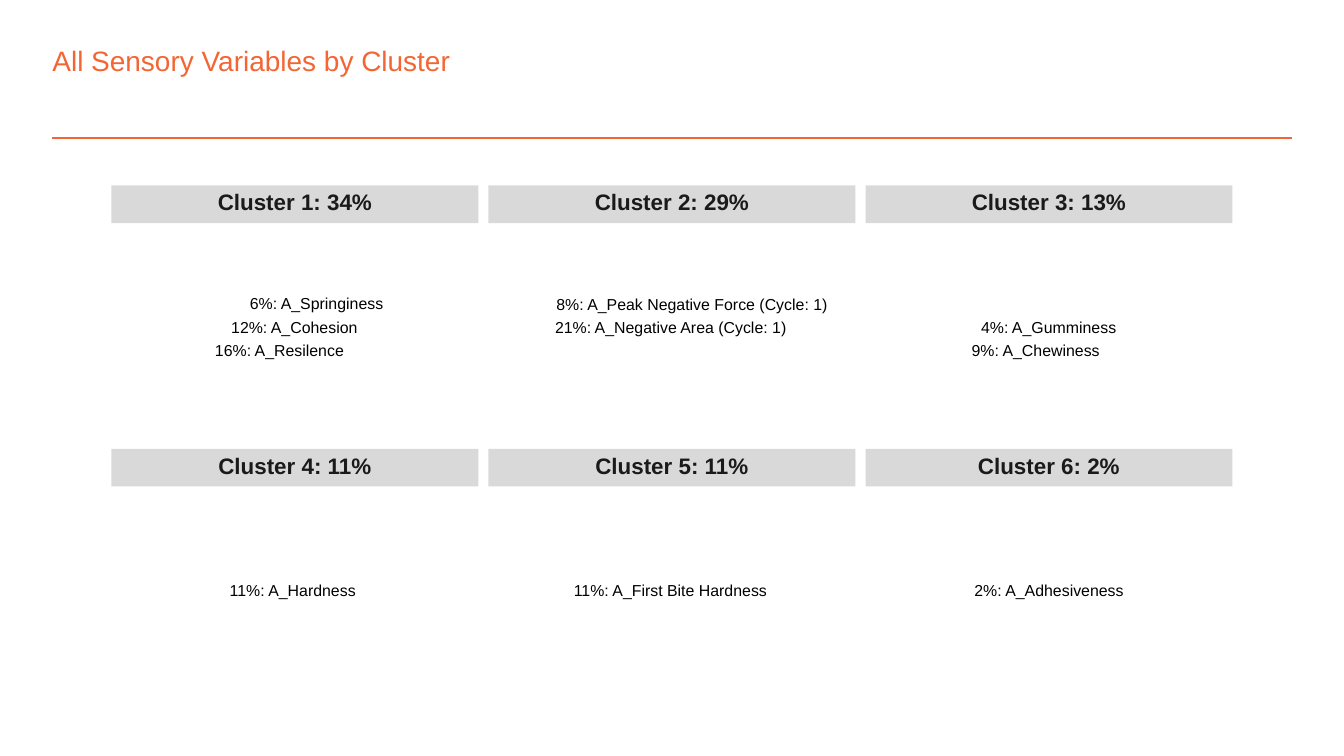
from dataclasses import dataclass

from lxml.etree import SubElement
from pptx import Presentation
from pptx.dml.color import RGBColor
from pptx.enum.shapes import MSO_CONNECTOR, MSO_SHAPE
from pptx.enum.text import MSO_ANCHOR, PP_ALIGN
from pptx.oxml.ns import qn
from pptx.shapes.autoshape import Shape
from pptx.slide import Slide
from pptx.util import Inches, Pt

COLORS = {
    "accent": "F36633",
    "panel": "FFFFFF",
    "bar": "D9D9D9",
    "heading": "1A1A1A",
    "label": "000000",
}
FONT = "Arial"
SLIDE_WIDTH = 10
SLIDE_HEIGHT = SLIDE_WIDTH * 9 / 16
COLUMNS = 3
BAR_LEFT, LAST_BAR_LEFT, BAR_TOP = 0.83, 6.44, 1.38
BAR_WIDTH, BAR_HEIGHT = 2.73, 0.28
COLUMN_STEP = (LAST_BAR_LEFT - BAR_LEFT) / (COLUMNS - 1)
ROW_STEP = 1.96
LABEL_HEIGHT = 0.11


@dataclass(frozen=True)
class Variable:
    text: str
    left: float
    top: float
    width: float


@dataclass(frozen=True)
class Cluster:
    heading: str
    variables: tuple[Variable, ...]


CLUSTERS = (
    Cluster("Cluster 1: 34%", (
        Variable("6%: A_Springiness", 1.86, 2.21, 1.0),
        Variable("12%: A_Cohesion", 1.72, 2.39, 0.95),
        Variable("16%: A_Resilence", 1.6, 2.56, 0.97),
    )),
    Cluster("Cluster 2: 29%", (
        Variable("8%: A_Peak Negative Force (Cycle: 1)", 4.14, 2.22, 2.03),
        Variable("21%: A_Negative Area (Cycle: 1)", 4.13, 2.39, 1.74),
    )),
    Cluster("Cluster 3: 13%", (
        Variable("4%: A_Gumminess", 7.3, 2.39, 1.01),
        Variable("9%: A_Chewiness", 7.23, 2.56, 0.96),
    )),
    Cluster("Cluster 4: 11%", (Variable("11%: A_Hardness", 1.71, 4.35, 0.96),)),
    Cluster("Cluster 5: 11%", (Variable("11%: A_First Bite Hardness", 4.27, 4.35, 1.46),)),
    Cluster("Cluster 6: 2%", (Variable("2%: A_Adhesiveness", 7.25, 4.35, 1.12),)),
)


def color(name: str) -> RGBColor:
    return RGBColor.from_string(COLORS[name])


def write_text(shape: Shape, text: str, size: float, color_name: str,
               bold: bool = False, align: PP_ALIGN = PP_ALIGN.LEFT,
               exact_spacing: bool = True, wrap: bool = False) -> None:
    frame = shape.text_frame
    frame.margin_left = frame.margin_right = Inches(0)
    frame.margin_top = frame.margin_bottom = Inches(0)
    frame.word_wrap = wrap
    frame.vertical_anchor = MSO_ANCHOR.MIDDLE
    paragraph = frame.paragraphs[0]
    paragraph.alignment = align
    if exact_spacing:
        paragraph.line_spacing = Pt(size)
    run = paragraph.add_run()
    run.text = text
    run.font.name = FONT
    run.font.size = Pt(size)
    run.font.bold = bold
    run.font.color.rgb = color(color_name)


def add_rectangle(slide: Slide, left: float, top: float, width: float,
                  height: float, fill: str) -> Shape:
    shape = slide.shapes.add_shape(
        MSO_SHAPE.RECTANGLE, Inches(left), Inches(top), Inches(width), Inches(height))
    shape.shadow.inherit = False
    shape.fill.solid()
    shape.fill.fore_color.rgb = color(fill)
    shape.line.fill.background()
    return shape


def add_title(slide: Slide, text: str) -> None:
    title = slide.shapes.add_textbox(Inches(0.39), Inches(0.32), Inches(8.29), Inches(0.25))
    write_text(title, text, 15, "accent", exact_spacing=False, wrap=True)


def add_rule(slide: Slide) -> None:
    rule = slide.shapes.add_connector(
        MSO_CONNECTOR.STRAIGHT, Inches(0.39), Inches(1.03), Inches(9.61), Inches(1.03))
    rule.line.color.rgb = color("accent")
    rule.line.width = Pt(1)
    SubElement(rule.element.spPr, qn("a:effectLst"))


def add_panel(slide: Slide) -> None:
    panel = add_rectangle(slide, 0.75, 1.3, 8.5, 4, "panel")
    panel.line.color.rgb = color("panel")
    panel.line.width = Pt(0.75)


def add_cluster(slide: Slide, cluster: Cluster, index: int) -> None:
    row, column = divmod(index, COLUMNS)
    bar = add_rectangle(slide, BAR_LEFT + column * COLUMN_STEP, BAR_TOP + row * ROW_STEP,
                        BAR_WIDTH, BAR_HEIGHT, "bar")
    write_text(bar, cluster.heading, 12, "heading", bold=True,
               align=PP_ALIGN.CENTER, wrap=True)
    for variable in cluster.variables:
        label = slide.shapes.add_textbox(
            Inches(variable.left), Inches(variable.top),
            Inches(variable.width), Inches(LABEL_HEIGHT))
        write_text(label, variable.text, 8.5, "label")


def main() -> None:
    presentation = Presentation()
    presentation.slide_width = Inches(SLIDE_WIDTH)
    presentation.slide_height = Inches(SLIDE_HEIGHT)
    slide = presentation.slides.add_slide(presentation.slide_layouts[6])
    add_rule(slide)
    add_title(slide, "All Sensory Variables by Cluster")
    add_panel(slide)
    for index, cluster in enumerate(CLUSTERS):
        add_cluster(slide, cluster, index)
    presentation.save("out.pptx")


if __name__ == "__main__":
    main()
